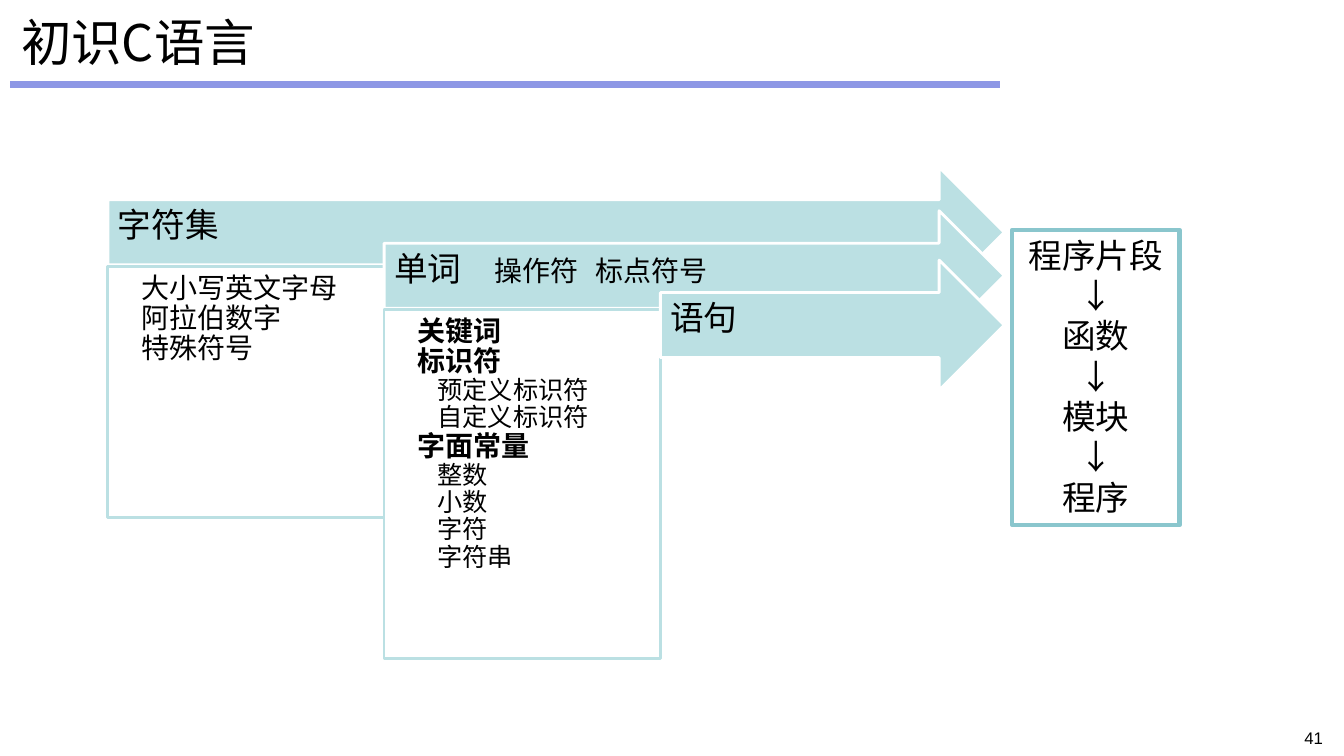
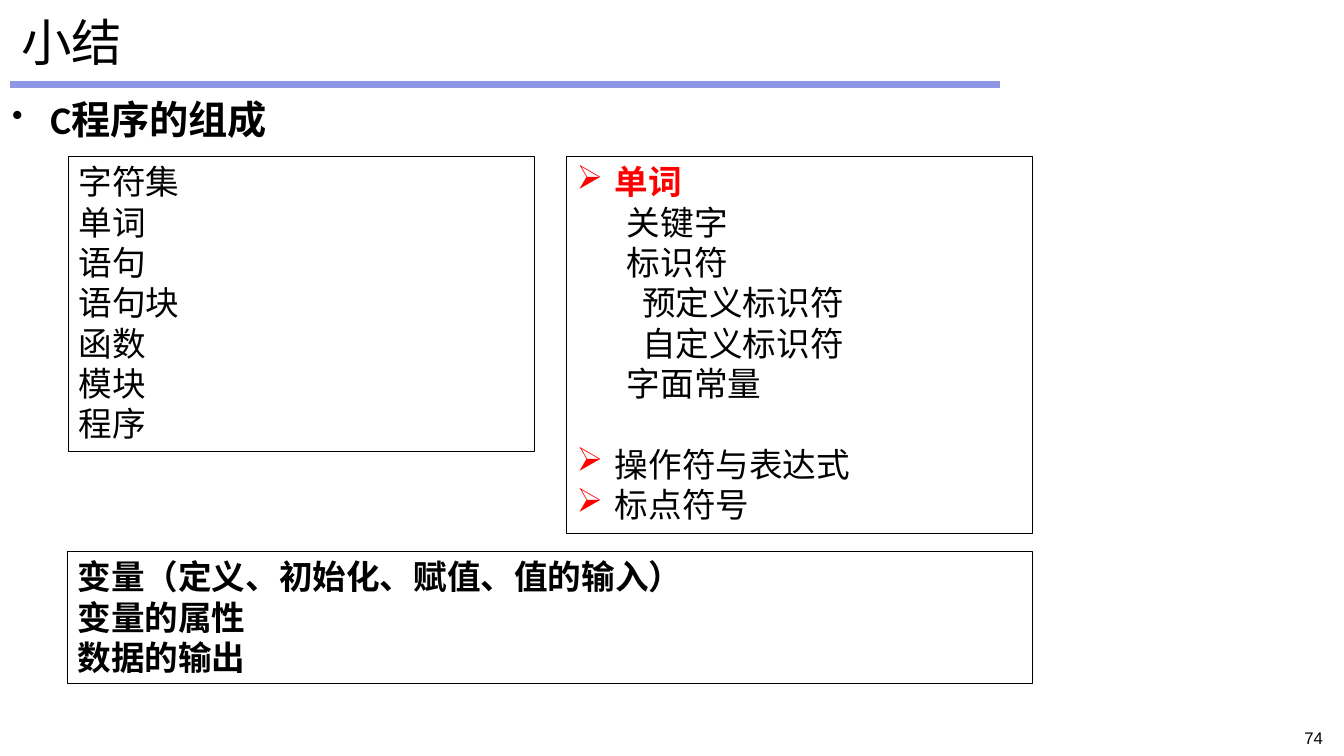
from lxml.etree import SubElement
from pptx import Presentation
from pptx.dml.color import RGBColor
from pptx.enum.shapes import MSO_CONNECTOR, MSO_SHAPE
from pptx.enum.text import MSO_ANCHOR, PP_ALIGN
from pptx.oxml.ns import qn
from pptx.util import Inches, Pt

CJK_FONT = "Noto Sans CJK SC"
BLACK, WHITE, RED = "000000", "FFFFFF", "FF0000"
RULE, TEAL, DARK_TEAL = "8D97E5", "BBE0E3", "8AC6CD"
BOX_MARGINS = (0.1, 0.05, 0.1, 0.05)


def add_box(slide, preset, position, fill, line, line_width, margins=BOX_MARGINS):
    """Add a preset shape, position and margins in inches, with top-left text."""
    shape = slide.shapes.add_shape(preset, *map(Inches, position))
    shape.shadow.inherit = False
    if fill:
        shape.fill.solid()
        shape.fill.fore_color.rgb = RGBColor.from_string(fill)
    else:
        shape.fill.background()
    shape.line.color.rgb = RGBColor.from_string(line)
    shape.line.width = Pt(line_width)
    frame = shape.text_frame
    frame.word_wrap = True
    frame.vertical_anchor = MSO_ANCHOR.TOP
    (frame.margin_left, frame.margin_top,
     frame.margin_right, frame.margin_bottom) = map(Inches, margins)
    return shape


def add_paragraph(frame, runs, font, bold=False, color=BLACK, align=PP_ALIGN.LEFT,
                  indent=0, bullet=None, bullet_color=BLACK, bullet_size=100,
                  line_spacing=1.0, space_before=0, tabs=()):
    """Add (text, size) runs as a paragraph; a bullet hangs in the indent."""
    paragraph = frame.add_paragraph() if frame.text else frame.paragraphs[0]
    paragraph.alignment = align
    paragraph.line_spacing = line_spacing
    paragraph.space_before = Pt(space_before)
    properties = paragraph._p.get_or_add_pPr()
    properties.set("marL", str(Inches(indent)))
    properties.set("indent", str(-Inches(indent) if bullet else 0))
    if bullet:
        bullet_fill = SubElement(properties, qn("a:buClr"))
        SubElement(bullet_fill, qn("a:srgbClr"), val=bullet_color)
        SubElement(properties, qn("a:buSzPct"), val=str(bullet_size * 1000))
        SubElement(properties, qn("a:buChar"), char=bullet)
    if tabs:
        tab_list = SubElement(properties, qn("a:tabLst"))
        for tab in tabs:
            SubElement(tab_list, qn("a:tab"), pos=str(Inches(tab)), algn="l")
    for text, size in runs:
        run = paragraph.add_run()
        run.text = text
        run.font.name = font
        run.font.size = Pt(size)
        run.font.bold = bold
        run.font.color.rgb = RGBColor.from_string(color)
        SubElement(run._r.get_or_add_rPr(), qn("a:ea"), typeface=CJK_FONT)


presentation = Presentation()
presentation.slide_width = Inches(13.33)
presentation.slide_height = Inches(7.5)

# Title, rule and page number of every slide
for heading, heading_font, number in (("初识C语言", CJK_FONT, "41"),
                                      ("小结", "Calibri", "74")):
    slide = presentation.slides.add_slide(presentation.slide_layouts[5])
    rule = slide.shapes.add_connector(MSO_CONNECTOR.STRAIGHT, Inches(0.1), Inches(0.84),
                                      Inches(9.92), Inches(0.84))
    rule.line.color.rgb = RGBColor.from_string(RULE)
    rule.line.width = Pt(4.5)
    SubElement(rule._element.spPr, qn("a:effectLst"))

    title = slide.shapes.title
    title.left, title.top = Inches(0.11), Inches(0.08)
    title.width, title.height = Inches(13.11), Inches(0.67)
    title.text_frame.vertical_anchor = MSO_ANCHOR.MIDDLE
    add_paragraph(title.text_frame, [(heading, 36)], heading_font)

    page_number = slide.shapes.add_textbox(Inches(11.91), Inches(7.17),
                                           Inches(1.31), Inches(0.25))
    page_number.text_frame.word_wrap = True
    add_paragraph(page_number.text_frame, [(number, 12)], "Arial", align=PP_ALIGN.RIGHT)

language_slide, summary_slide = presentation.slides

# Slide 1: three stepped arrows, two with a panel of (text, level, bold) lines
STEP = 2.74
ARROW_RIGHT, ARROW_HEIGHT = 9.96, 1.29
LEVELS = {1: (20, 0.25), 2: (18, 0.45)}
character_lines = [("大小写英文字母", 1, False), ("阿拉伯数字", 1, False),
                   ("特殊符号", 1, False)]
word_lines = [("关键词", 1, True), ("标识符", 1, True),
              ("预定义标识符", 2, False), ("自定义标识符", 2, False),
              ("字面常量", 1, True), ("整数", 2, False), ("小数", 2, False),
              ("字符", 2, False), ("字符串", 2, False)]
stages = [
    (1.66, [("字符集", 24)], 2.49, character_lines),
    (2.09, [("单词", 24), ("\t操作符\t标点符号", 20)], 3.46, word_lines),
    (2.58, [("语句", 24)], 0, []),
]
for index, (top, label, panel_height, lines) in enumerate(stages):
    left = 1.07 + index * STEP
    arrow = add_box(language_slide, MSO_SHAPE.RIGHT_ARROW,
                    (left, top, ARROW_RIGHT - left, ARROW_HEIGHT),
                    TEAL, WHITE, 2, (0.1, 0.1, 0.28, 0.21))
    arrow.text_frame.vertical_anchor = MSO_ANCHOR.MIDDLE
    add_paragraph(arrow.text_frame, label, "Calibri", line_spacing=0.9, tabs=(1.79, 3.63))
    if lines:
        panel = add_box(language_slide, MSO_SHAPE.RECTANGLE,
                        (left, top + 0.98, STEP, panel_height),
                        WHITE, TEAL, 2, (0.08, 0.08, 0.08, 0.08))
        for text, level, bold in lines:
            size, indent = LEVELS[level]
            add_paragraph(panel.text_frame, [(text, size)], "Calibri", bold,
                          indent=indent, line_spacing=0.9)

program_box = add_box(language_slide, MSO_SHAPE.RECTANGLE, (10.04, 2.28, 1.66, 2.93),
                      None, DARK_TEAL, 3)
for text in ("程序片段", "↓", "函数", "↓", "模块", "↓", "程序"):
    add_paragraph(program_box.text_frame, [(text, 24)], CJK_FONT, align=PP_ALIGN.CENTER)

# Slide 2: topic line above three outlined boxes
topic = summary_slide.shapes.add_textbox(Inches(0.1), Inches(0.94),
                                         Inches(13.12), Inches(0.55))
topic.text_frame.word_wrap = True
topic.text_frame.margin_left = Inches(0.02)
topic.text_frame.margin_top = Inches(0.01)
add_paragraph(topic.text_frame, [("C程序的组成", 28)], "Calibri", True,
              indent=0.38, bullet="•", bullet_size=80)

parts = [(text, {}) for text in
         ("字符集", "单词", "语句", "语句块", "函数", "模块", "程序")]
arrow_bullet = {"indent": 0.38, "bullet": "➢", "bullet_color": RED}
words = [
    ("单词", {**arrow_bullet, "bold": True, "color": RED}),
    ("关键字", {"indent": 0.5}),
    ("标识符", {"indent": 0.5}),
    ("预定义标识符", {"indent": 0.65}),
    ("自定义标识符", {"indent": 0.65}),
    ("字面常量", {"indent": 0.5}),
    ("操作符与表达式", {**arrow_bullet, "space_before": 29}),
    ("标点符号", arrow_bullet),
]
variables = [(text, {"bold": True}) for text in
             ("变量（定义、初始化、赋值、值的输入）", "变量的属性", "数据的输出")]
for position, font, lines in (((0.68, 1.55, 4.62, 2.93), "Courier New", parts),
                              ((5.62, 1.55, 4.62, 3.74), "Courier New", words),
                              ((0.67, 5.47, 9.57, 1.31), "Arial", variables)):
    box = add_box(summary_slide, MSO_SHAPE.RECTANGLE, position, None, BLACK, 0.75)
    for text, style in lines:
        add_paragraph(box.text_frame, [(text, 24)], font, **style)

presentation.save("out.pptx")
